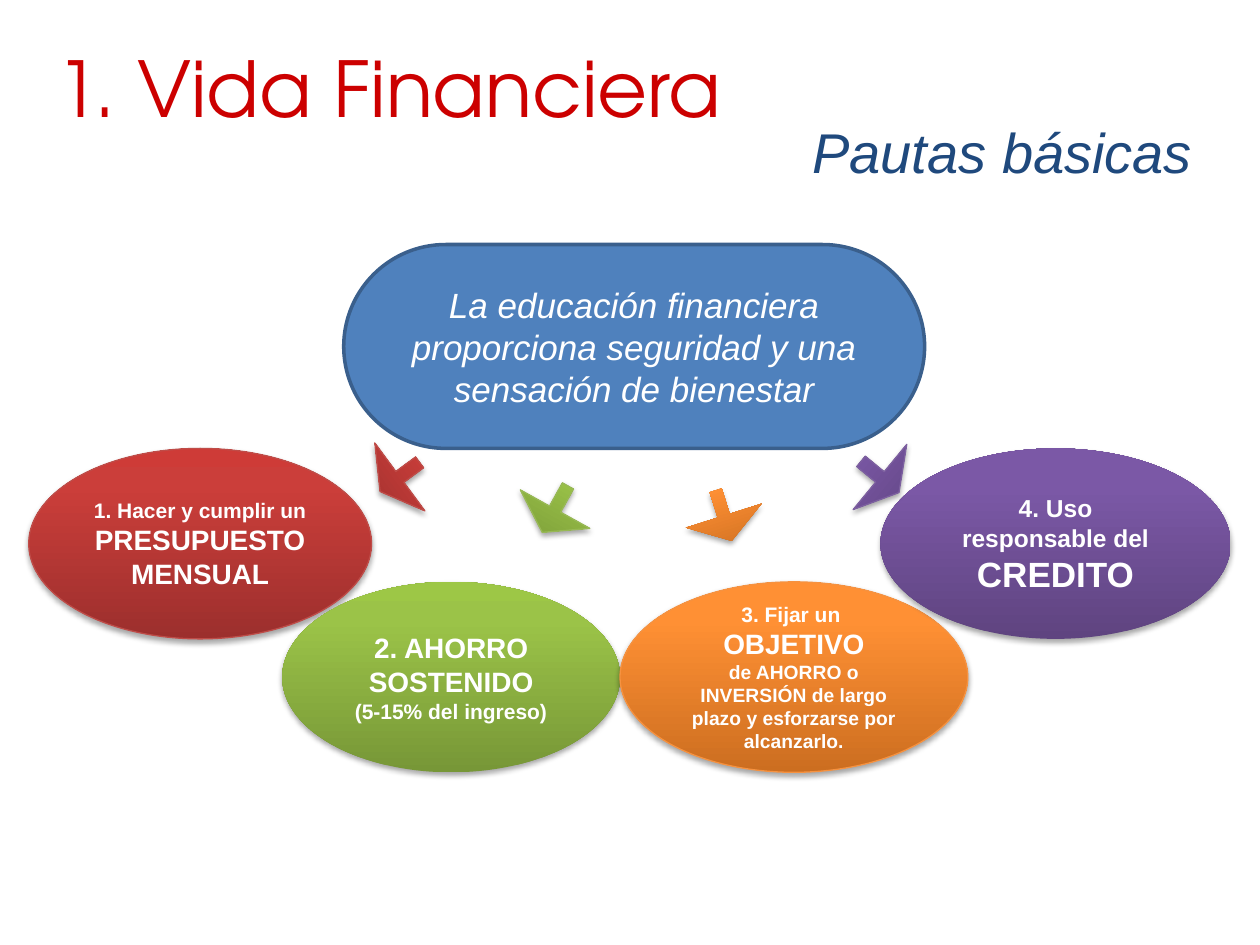
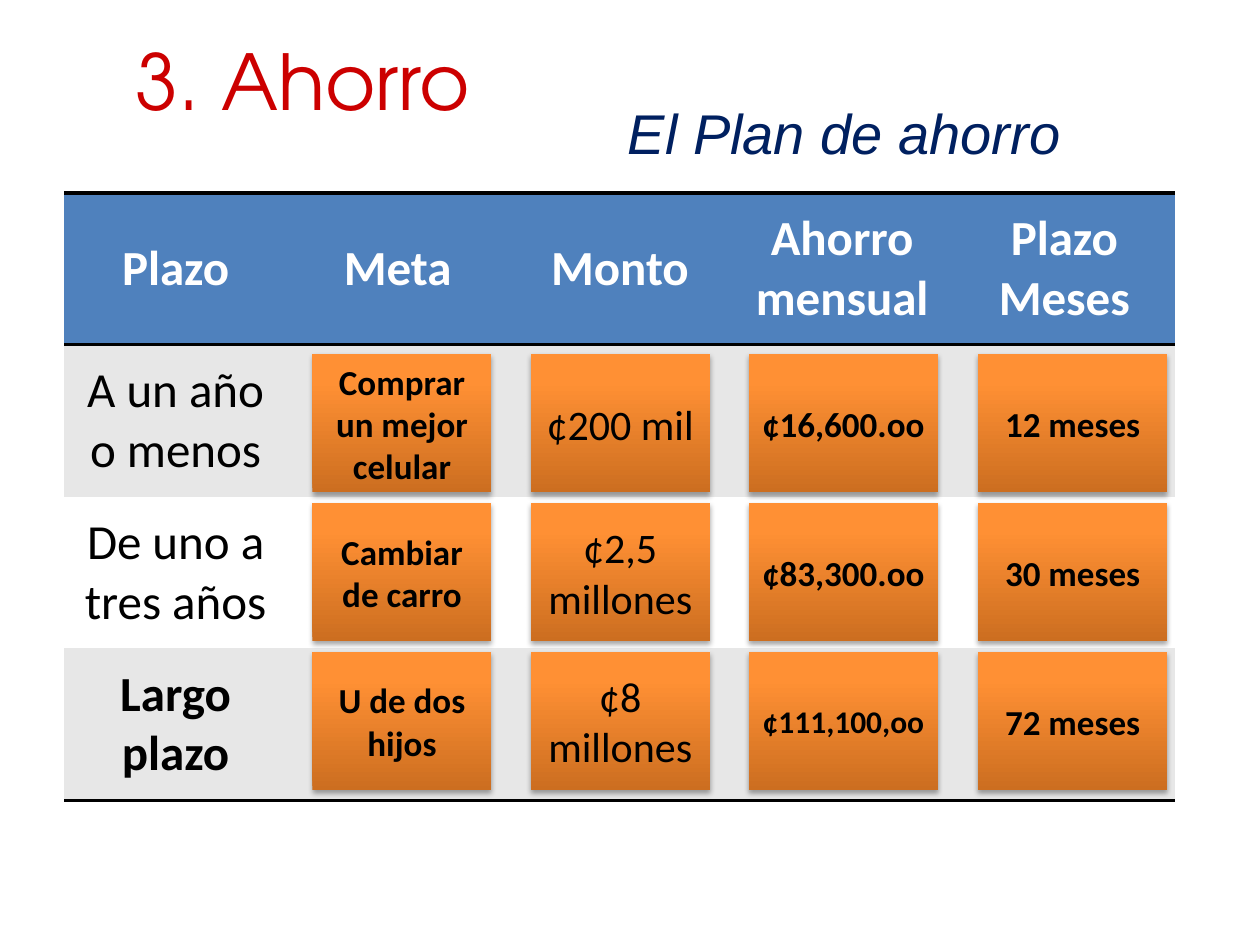
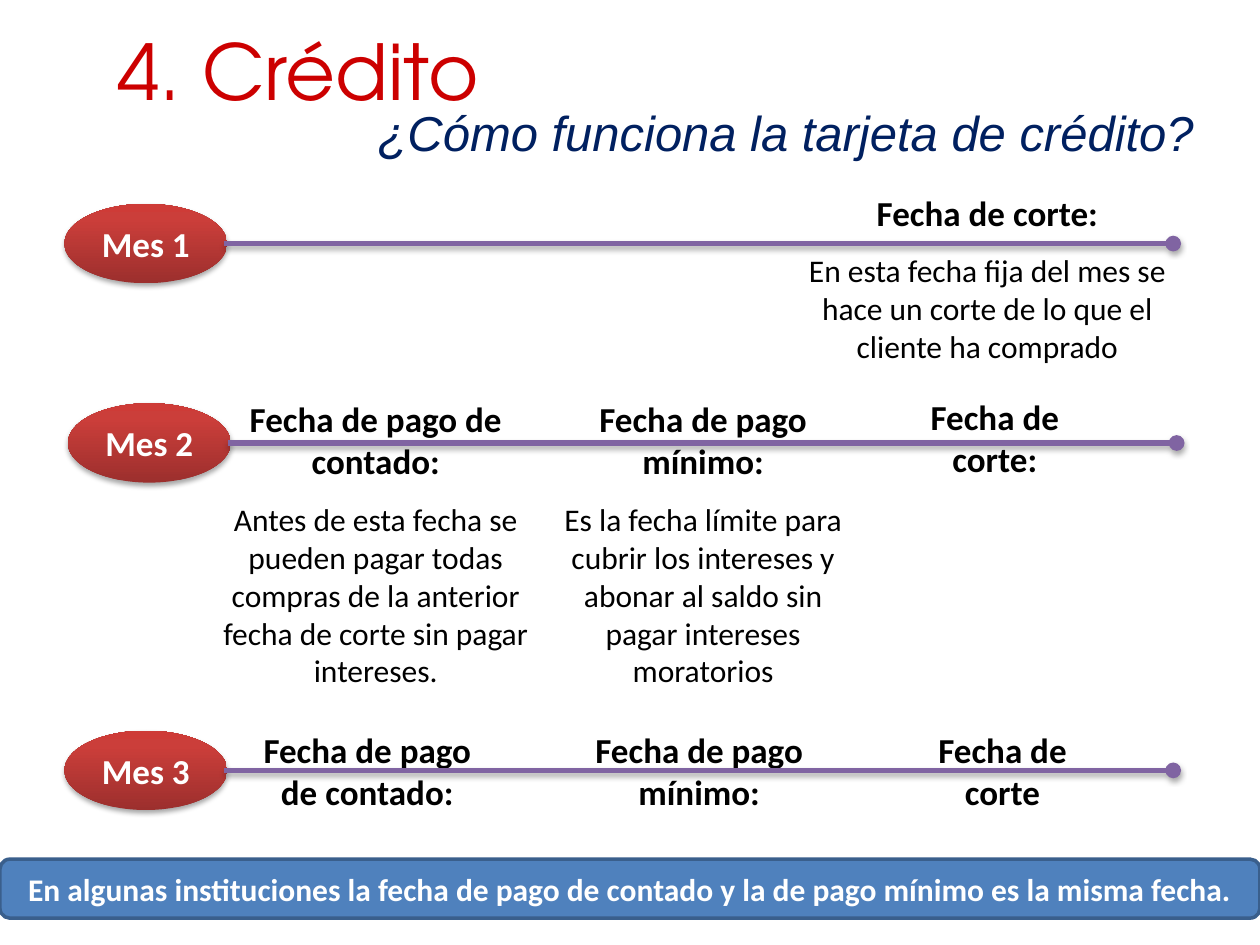
from lxml.etree import SubElement
from pptx import Presentation
from pptx.dml.color import RGBColor
from pptx.enum.shapes import MSO_CONNECTOR, MSO_SHAPE
from pptx.enum.text import MSO_ANCHOR, PP_ALIGN
from pptx.oxml.ns import qn
from pptx.util import Cm, Pt

OVAL, RECT = MSO_SHAPE.OVAL, MSO_SHAPE.RECTANGLE
ROUND, ARROW = MSO_SHAPE.ROUNDED_RECTANGLE, MSO_SHAPE.DOWN_ARROW
LINE = MSO_CONNECTOR.STRAIGHT
MID = MSO_ANCHOR.MIDDLE
LEFT, MIDST, RIGHT = PP_ALIGN.LEFT, PP_ALIGN.CENTER, PP_ALIGN.RIGHT

# Shared look
SANS, BODY, HEAD = "Arial", "Calibri", "TeX Gyre Adventor"
WHITE, BLACK, GRAY = "FFFFFF", "000000", "E7E7E7"
BLUE, EDGE, NAVY, STEEL = "4F81BD", "3A5F8C", "002060", "1F497D"
CRIMSON, VIOLET = "CC0000", "8064A2"
# Gradient stops at 0, 80 and 100 percent
RED = ("9C2F2D", "CB3E3A", "CE3B37")
GREEN = ("779737", "9BC348", "9DC746")
ORANGE = ("CC6E20", "FF9034", "FF9136")
PURPLE = ("5F4480", "7B58A6", "7C57A8")
PLAIN = "{2D5ABB26-0587-4C30-8999-92F81FD0307C}"  # table style without grid


def rgb(code):
    return RGBColor.from_string(code)


def write(frame, paras, font, color, align=MIDST, italic=False, gap=0):
    """Each paragraph is a list of runs: (text, size, bold)."""
    frame.word_wrap = True
    frame.vertical_anchor = MID
    for i, runs in enumerate(paras):
        para = frame.add_paragraph() if i else frame.paragraphs[0]
        para.alignment = align
        if i and gap:
            para.space_before = Pt(gap)
        for text, size, bold in runs:
            run = para.add_run()
            run.text = text
            face = run.font
            face.name, face.size = font, Pt(size)
            face.bold, face.italic = bold, italic
            face.color.rgb = rgb(color)


def label(slide, box, paras, *look, **more):
    area = slide.shapes.add_textbox(*map(Cm, box))
    write(area.text_frame, paras, *look, **more)


def shade(props):
    """Soft shadow below a shape or a line."""
    list_ = props.find(qn("a:effectLst"))
    if list_ is None:
        list_ = SubElement(props, qn("a:effectLst"))
    drop = SubElement(list_, qn("a:outerShdw"), blurRad=str(Pt(3.1)),
                      dist=str(Pt(1.8)), dir="5400000", rotWithShape="0")
    tint = SubElement(drop, qn("a:srgbClr"), val=BLACK)
    SubElement(tint, qn("a:alpha"), val="35000")


def blend(shape, stops):
    shape.fill.gradient()
    shape.fill.gradient_angle = 90
    list_ = shape.fill._xPr.find(qn("a:gradFill")).find(qn("a:gsLst"))
    for old in list(list_):
        list_.remove(old)
    for pos, code in zip((0, 80000, 100000), stops):
        stop = SubElement(list_, qn("a:gs"), pos=str(pos))
        SubElement(stop, qn("a:srgbClr"), val=code)


def form(slide, kind, box, paint, edge=None, width=0.75):
    """Flat shape for a single colour; shaded with a shadow for three."""
    shape = slide.shapes.add_shape(kind, *map(Cm, box))
    shape.shadow.inherit = False
    if isinstance(paint, str):
        shape.fill.solid()
        shape.fill.fore_color.rgb = rgb(paint)
    else:
        blend(shape, paint)
        shade(shape._element.spPr)
    if edge:
        shape.line.color.rgb = rgb(edge)
        shape.line.width = Pt(width)
    else:
        shape.line.fill.background()
    return shape


def heads(slide, title, box, sub, under, size=32, color=NAVY):
    label(slide, box, [[(title, 44, False)]], HEAD, CRIMSON, LEFT)
    label(slide, under, [[(sub, size, False)]], SANS, color, RIGHT, italic=True)


# Slide 1: central idea, four arrows, four guidelines
def guides(slide, x, y):
    pill = form(slide, ROUND, (x + 6.35, y, 11.71, 4.11), BLUE, EDGE, 2)
    pill.adjustments[0] = 0.5
    idea = "La educación financiera proporciona seguridad y una sensación de bienestar"
    write(pill.text_frame, [[(idea, 20, False)]], SANS, WHITE, italic=True)

    high, low = 4.11, 6.8
    ovals = [
        (0, high, 6.91, RED, "BF4C48",
         [[("1. Hacer y cumplir un ", 12, True), ("PRESUPUESTO", 16, True)],
          [("MENSUAL", 16, True)]]),
        (5.11, low, 6.81, GREEN, None,
         [[("2. AHORRO", 16, True)], [("SOSTENIDO", 16, True)],
          [("(5-15% del ingreso)", 12, True)]]),
        (11.92, low, 7.01, ORANGE, "F69240",
         [[("3. Fijar un ", 12, True)], [("OBJETIVO", 16, True)],
          [("de AHORRO o INVERSIÓN de largo plazo y esforzarse por alcanzarlo.",
            11, True)]]),
        (17.17, high, 7.06, PURPLE, None,
         [[("4. Uso responsable del", 14, True)], [("CREDITO", 20, True)]]),
    ]
    for dx, dy, w, paint, edge, paras in ovals:
        oval = form(slide, OVAL, (x + dx, y + dy, w, 3.84), paint, edge)
        write(oval.text_frame, paras, SANS, WHITE)

    arrows = [
        (6.63, 4.19, 1.7, 0.99, 53.6, RED, "BF4C48"),
        (9.81, 4.8, 1.6, 1.07, 29, GREEN, "98B955"),
        (13.21, 4.93, 1.6, 1.07, 342.4, ORANGE, None),
        (16.31, 4.19, 1.7, 0.99, 309.4, PURPLE, "7D60A0"),
    ]
    for dx, dy, w, h, turn, paint, edge in arrows:
        arrow = form(slide, ARROW, (x + dx, y + dy, w, h), paint, edge)
        arrow.adjustments[0] = 0.16
        arrow.rotation = turn


# Slide 2: savings table with tiles on top
def rule(cell, *sides):
    props = cell._tc.get_or_add_tcPr()
    for i, side in enumerate(sides):
        line = props.makeelement(qn("a:" + side), {"w": str(Pt(2))})
        fill = SubElement(line, qn("a:solidFill"))
        SubElement(fill, qn("a:srgbClr"), val=BLACK)
        props.insert(i, line)


def grid(slide, x, y, w, h):
    names = [["Plazo"], ["Meta"], ["Monto"], ["Ahorro mensual"], ["Plazo", "Meses"]]
    terms = ["A un año o menos", "De uno a tres años", "Largo plazo"]
    table = slide.shapes.add_table(4, 5, Cm(x), Cm(y), Cm(w), Cm(h)).table
    table._tbl.tblPr.find(qn("a:tableStyleId")).text = PLAIN
    for r in range(4):
        for c in range(5):
            cell = table.cell(r, c)
            cell.fill.solid()
            cell.fill.fore_color.rgb = rgb((BLUE, GRAY, WHITE, GRAY)[r])
            cell.vertical_anchor = MID
            if r == 0:
                rule(cell, "lnT", "lnB")
                write(cell.text_frame, [[(n, 28, True)] for n in names[c]], BODY, WHITE)
            elif c == 0:
                write(cell.text_frame, [[(terms[r - 1], 28, r == 3)]], BODY, BLACK)
            if r == 3:
                rule(cell, "lnB")


def tiles(slide, x, y):
    cols = [(0, 3.61), (4.4, 3.61), (8.8, 3.81), (13.42, 3.81)]
    rows = [
        ["Comprar un mejor celular", "¢200 mil", "¢16,600.oo", "12 meses"],
        ["Cambiar de carro", "¢2,5 millones", "¢83,300.oo", "30 meses"],
        ["U de dos hijos", "¢8 millones", "¢111,100,oo", "72 meses"],
    ]
    for r, row in enumerate(rows):
        for c, ((dx, w), text) in enumerate(zip(cols, row)):
            tile = form(slide, RECT, (x + dx, y + 3 * r, w, 2.79), ORANGE)
            size = 24 if c == 1 else 18 if (r, c) == (2, 2) else 20
            write(tile.text_frame, [[(text, size, c != 1)]], BODY, BLACK)


# Slide 3: one time line per month
def month(slide, x, y, name, dates):
    oval = form(slide, OVAL, (x, y, 3.28, 1.6), RED)
    write(oval.text_frame, [[(name, 20, True)]], BODY, WHITE)
    for (dx, dy, w, h), date, note, gap in dates:
        paras = [[(date, 20, True)]]
        if note:
            paras.append([(note, 18, False)])
        label(slide, (x + dx, y + dy, w, h), paras, BODY, BLACK, gap=gap)
    line = slide.shapes.add_connector(
        LINE, Cm(x + 3.22), Cm(y + 0.8), Cm(x + 22.35), Cm(y + 0.8))
    line.line.color.rgb = rgb(VIOLET)
    line.line.width = Pt(3)
    SubElement(line.line._get_or_add_ln(), qn("a:tailEnd"), type="oval")
    shade(line._element.spPr)


def months(slide, x, y):
    cash, least, cut = "Fecha de pago de contado:", "Fecha de pago mínimo:", "Fecha de corte:"
    fixed = "En esta fecha fija del mes se hace un corte de lo que el cliente ha comprado"
    full = ("Antes de esta fecha se pueden pagar todas compras de la anterior "
            "fecha de corte sin pagar intereses.")
    limit = ("Es la fecha límite para cubrir los intereses y abonar al saldo "
             "sin pagar intereses moratorios")
    month(slide, x, y, "Mes 1", [((14.4, 0, 8.41, 3), cut, fixed, 9.8)])
    month(slide, x + 0.07, y + 4.02, "Mes 2", [
        ((2.8, 1.6, 6.81, 2.44), cash, full, 11),
        ((9.4, 1.6, 6.81, 2.44), least, limit, 11),
        ((16.59, -0.81, 4.19, 3), cut, None, 0)])
    month(slide, x, y + 10.62, "Mes 3", [
        ((3.4, -0.23, 5.41, 2.06), cash, None, 0),
        ((9.39, -0.23, 6.81, 2.06), least, None, 0),
        ((16.61, -0.41, 4.6, 2.44), "Fecha de corte", None, 0)])


def banner(slide, *box):
    bar = form(slide, ROUND, box, BLUE, EDGE, 2)
    note = ("En algunas instituciones la fecha de pago de contado y la de "
            "pago mínimo es la misma fecha.")
    write(bar.text_frame, [[(note, 18, True)]], BODY, WHITE)


def main():
    deck = Presentation()
    deck.slide_width, deck.slide_height = Cm(25.4), Cm(19.05)
    life, save, debt = [deck.slides.add_slide(deck.slide_layouts[6]) for _ in range(3)]

    heads(life, "1. Vida Financiera", (0.89, 0.74, 22.86, 2.01),
          "Pautas básicas", (15.27, 2.34, 9.02, 1.4), color=STEEL)
    guides(life, 0.58, 4.93)

    heads(save, "3. Ahorro", (2.49, 0.53, 8.53, 2.16),
          "El Plan de ahorro", (7.04, 1.93, 14.6, 1.47))
    grid(save, 1.3, 3.89, 22.4, 12.24)
    tiles(save, 6.3, 7.14)

    heads(debt, "4. Crédito", (2.11, 0.33, 8.53, 2.16),
          "¿Cómo funciona la tarjeta de crédito?", (6.71, 1.93, 17.6, 1.47), size=28)
    months(debt, 1.3, 4.11)
    banner(debt, 0, 17.32, 25.4, 1.19)
    deck.save("out.pptx")


if __name__ == "__main__":
    main()
